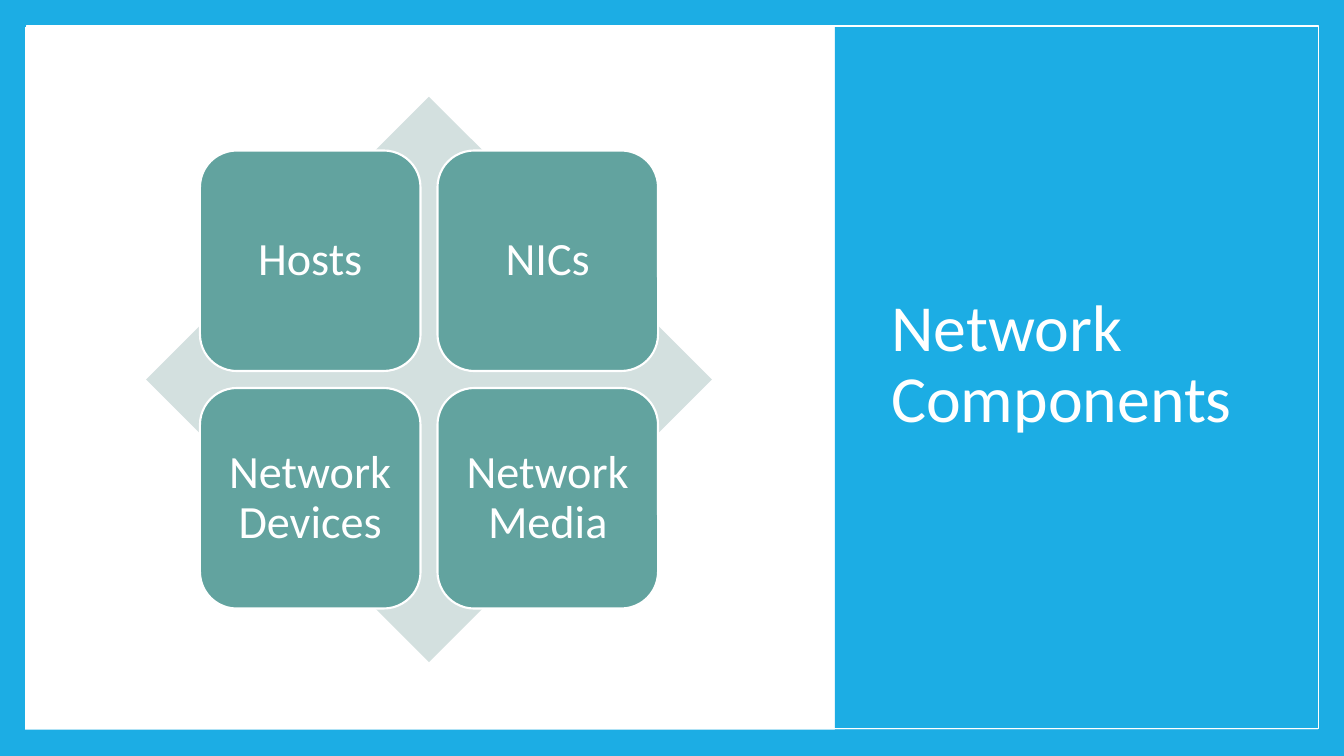
import dataclasses

import pptx
import pptx.dml.color
import pptx.enum.shapes
import pptx.enum.text
import pptx.util

KIND = pptx.enum.shapes.MSO_SHAPE
ALIGN = pptx.enum.text.PP_ALIGN


@dataclasses.dataclass(frozen=True)
class Theme:
    """Colours, type and line sizes of the slide."""
    blue: str = "1CADE4"
    white: str = "FFFFFF"
    pale: str = "D3E0DF"
    teal: str = "62A39F"
    font: str = "Calibri"
    title: float = 47
    label: float = 33
    thin: float = 1
    edge: float = 1.5


THEME = Theme()


def tint(code):
    """Turn a hex code into a colour."""
    return pptx.dml.color.RGBColor.from_string(code)


def spans(box):
    """Turn a box in inches into lengths."""
    return [pptx.util.Inches(side) for side in box]


def draw(slide, kind, box, fill=None, line=None, width=THEME.thin):
    """Add a flat shape with an optional fill and line."""
    shape = slide.shapes.add_shape(kind, *spans(box))
    shape.shadow.inherit = False
    if fill:
        shape.fill.solid()
        shape.fill.fore_color.rgb = tint(fill)
    else:
        shape.fill.background()
    if line:
        shape.line.color.rgb = tint(line)
        shape.line.width = pptx.util.Pt(width)
    else:
        shape.line.fill.background()
    return shape


def write(shape, text, size, align=ALIGN.LEFT, inset=0.1):
    """Set wrapped, middle-anchored text in a shape."""
    frame = shape.text_frame
    frame.word_wrap = True
    frame.vertical_anchor = pptx.enum.text.MSO_ANCHOR.MIDDLE
    frame.margin_left = frame.margin_right = pptx.util.Inches(inset)
    frame.margin_top = frame.margin_bottom = pptx.util.Inches(inset)
    para = frame.paragraphs[0]
    para.text = text
    para.alignment = align
    para.line_spacing = 0.9
    para.font.name = THEME.font
    para.font.size = pptx.util.Pt(size)
    para.font.color.rgb = tint(THEME.white)


def panel(slide, box, title):
    """Draw the blue side panel and its title."""
    left, top, width, height = box
    draw(slide, KIND.RECTANGLE, box, THEME.blue)
    area = (left + 0.096 * width, top + 0.059 * height,
            0.815 * width, 0.847 * height)
    write(slide.shapes.add_textbox(*spans(area)), title, THEME.title)


def matrix(slide, box, labels, cols=2):
    """Draw a diamond with a grid of labelled tiles on top."""
    left, top, size, _ = box
    draw(slide, KIND.DIAMOND, box, THEME.pale)
    tile, start, pitch = 0.39 * size, 0.095 * size, 0.42 * size
    for index, label in enumerate(labels):
        row, col = divmod(index, cols)
        spot = (left + start + col * pitch, top + start + row * pitch,
                tile, tile)
        shape = draw(slide, KIND.ROUNDED_RECTANGLE, spot,
                     THEME.teal, THEME.white, THEME.edge)
        write(shape, label, THEME.label, ALIGN.CENTER, 0.14)


def main():
    """Build and save the slide."""
    deck = pptx.Presentation()
    deck.slide_width, deck.slide_height = spans((13.33, 7.5))
    slide = deck.slides.add_slide(deck.slide_layouts[6])
    slide.background.fill.solid()
    slide.background.fill.fore_color.rgb = tint(THEME.blue)
    frame = (0.26, 0.26, 12.82, 6.97)
    draw(slide, KIND.RECTANGLE, (0.25, 0.27, 12.82, 6.97), THEME.white)
    panel(slide, (8.28, 0.26, 4.8, 6.98), "Network Components")
    draw(slide, KIND.RECTANGLE, frame, line=THEME.white)
    matrix(slide, (1.45, 0.96, 5.61, 5.61),
           ("Hosts", "NICs", "Network Devices", "Network Media"))
    deck.save("out.pptx")


if __name__ == "__main__":
    main()
